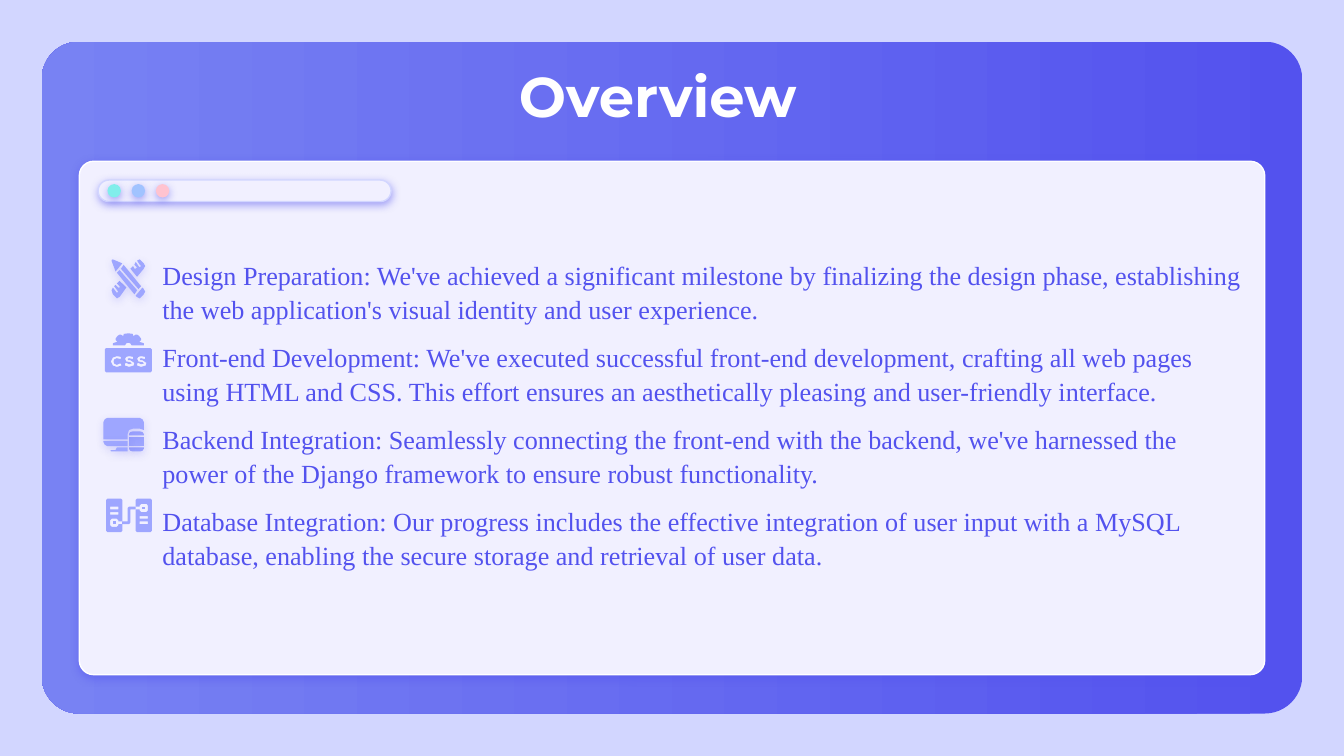
import dataclasses

import lxml.etree
import pptx
import pptx.dml.color
import pptx.enum.shapes
import pptx.enum.text
import pptx.oxml.ns
import pptx.util

SHAPES = pptx.enum.shapes.MSO_SHAPE
INCH = 914400
COLUMNS = 1000
ROWS = COLUMNS * 9 / 16


@dataclasses.dataclass(frozen=True)
class Theme:
    page: str = "D2D6FF"
    deep: str = "5352EE"
    light: str = "7882F3"
    panel: str = "F1F0FF"
    white: str = "FFFFFF"
    icon: str = "9EA6FF"
    dots: tuple = ("81EEEB", "A1C3FF", "FFC3D0")
    title_font: str = "Montserrat"
    body_font: str = "Times New Roman"
    title_size: int = 30
    body_size: int = 14
    line_width: float = 0.75


THEME = Theme()


@dataclasses.dataclass(frozen=True)
class Box:
    left: float
    top: float
    width: float
    height: float

    def cell(self, left, top, width, height):
        return Box(self.left + left, self.top + top, width, height)

    def emu(self):
        return [round(value * INCH / 100) for value in
                (self.left, self.top, self.width, self.height)]


def rgb(value):
    return pptx.dml.color.RGBColor.from_string(value)


def apply(target, values):
    for name, value in values.items():
        setattr(target, name, value)


def add_shadow(shape, opacity):
    tag = pptx.oxml.ns.qn
    effects = shape._element.spPr.find(tag("a:effectLst"))
    shadow = lxml.etree.SubElement(effects, tag("a:outerShdw"), {
        "blurRad": "57150", "dist": "19050", "dir": "5400000",
        "algn": "bl", "rotWithShape": "0"})
    color = lxml.etree.SubElement(shadow, tag("a:srgbClr"), val=THEME.deep)
    lxml.etree.SubElement(color, tag("a:alpha"), val=str(opacity * 1000))


def paint(shape, fill, line=None, opacity=0):
    shape.shadow.inherit = False
    shape.fill.solid()
    shape.fill.fore_color.rgb = rgb(fill)
    if line:
        shape.line.color.rgb = rgb(line)
        shape.line.width = pptx.util.Pt(THEME.line_width)
    else:
        shape.line.fill.background()
    if opacity:
        add_shadow(shape, opacity)


def add_round(slide, box, corner, fill, line=None, opacity=0):
    shape = slide.shapes.add_shape(SHAPES.ROUNDED_RECTANGLE, *box.emu())
    shape.adjustments[0] = corner
    paint(shape, fill, line, opacity)
    return shape


def add_backdrop(slide, box):
    frame = add_round(slide, box, 0.056, THEME.deep)
    frame.fill.gradient()
    frame.fill.gradient_angle = 180
    for stop, color in zip(frame.fill.gradient_stops, (THEME.deep, THEME.light)):
        stop.color.rgb = rgb(color)


def add_browser_bar(slide, box):
    add_round(slide, box, 0.5, THEME.panel, THEME.page, 50)
    for index, color in enumerate(THEME.dots):
        dot = box.cell(7 + 18 * index, 3, 10, 10)
        paint(slide.shapes.add_shape(SHAPES.OVAL, *dot.emu()), color, opacity=50)


def add_title(slide, box, text):
    title = slide.shapes.title
    slide.shapes._spTree.append(title._element)
    apply(title, dict(zip(("left", "top", "width", "height"), box.emu())))
    write(title.text_frame, [text], pptx.enum.text.MSO_ANCHOR.TOP,
          {"alignment": pptx.enum.text.PP_ALIGN.CENTER},
          {"name": THEME.title_font, "size": pptx.util.Pt(THEME.title_size), "bold": True},
          THEME.white)


def add_body(slide, box, texts):
    write(slide.shapes.add_textbox(*box.emu()).text_frame, texts,
          pptx.enum.text.MSO_ANCHOR.MIDDLE,
          {"line_spacing": 1.07, "space_after": pptx.util.Pt(8)},
          {"name": THEME.body_font, "size": pptx.util.Pt(THEME.body_size)},
          THEME.deep)


def write(frame, texts, anchor, layout, font, color):
    sides = ("margin_left", "margin_top", "margin_right", "margin_bottom")
    apply(frame, dict.fromkeys(sides, pptx.util.Inches(0.1)))
    apply(frame, {"word_wrap": True, "vertical_anchor": anchor,
                  "auto_size": pptx.enum.text.MSO_AUTO_SIZE.NONE})
    for index, text in enumerate(texts):
        paragraph = frame.add_paragraph() if index else frame.paragraphs[0]
        paragraph.text = text
        apply(paragraph, layout)
        apply(paragraph.font, font)
        paragraph.font.color.rgb = rgb(color)


def add_icon(slide, box, parts, opacity=0):
    for contours in parts:
        placed = [[box.cell(x, y, 0, 0).emu()[:2] for x, y in contour]
                  for contour in contours]
        builder = slide.shapes.build_freeform(*placed[0][0], scale=1.0)
        builder.add_line_segments(placed[0][1:], close=True)
        for contour in placed[1:]:
            builder.move_to(*contour[0])
            builder.add_line_segments(contour[1:], close=True)
        paint(builder.convert_to_shape(), THEME.icon, opacity=opacity)


def block(left, top, right, bottom):
    return [(left, top), (right, top), (right, bottom), (left, bottom)]


def design_icon():
    upper_ruler = [(21, 0), (19, 1), (21, 4), (22, 5), (21, 6), (20, 5), (18, 2),
                   (17, 4), (19, 6), (18, 7), (17, 7), (16, 5), (14, 7), (19, 13),
                   (24, 7), (25, 5), (24, 3), (22, 1)]
    lower_ruler = [(6, 16), (4, 18), (6, 20), (6, 21), (5, 21), (3, 19), (2, 20),
                   (5, 24), (4, 25), (1, 21), (0, 23), (1, 26), (3, 28), (4, 29),
                   (6, 28), (11, 21)]
    tip = [(1, 0), (0, 0.5), (0, 1), (3, 9), (8, 3)]
    strips = [[(9, 4), (7, 7), (20, 22), (22, 20)], [(6, 8), (4, 10), (17, 26), (19, 23)]]
    eraser = [(23, 21), (18, 27), (19, 28), (21, 29), (22, 28), (24, 26), (25, 24), (24, 22)]
    return [[part] for part in (upper_ruler, lower_ruler, tip, *strips, eraser)]


def stylesheet_icon():
    letter_c = [(9, 17), (12, 17.5), (12, 19), (11, 19), (9, 18.5), (7, 19.5), (6.5, 21),
                (7, 22.5), (9, 23.5), (11, 22.5), (12, 22.5), (12.5, 24), (9, 25),
                (6, 24), (4.5, 21), (6, 18)]
    letter_s = [(18, 17), (21, 17.5), (21, 19), (20, 19), (18, 18.5), (17, 19), (17.5, 20),
                (19, 20), (22, 22), (21.5, 24), (18, 25), (15, 24), (15, 22.5), (16, 22),
                (18, 23), (20, 22.5), (19, 21.5), (16, 21), (15, 19), (16, 17.5)]
    second_s = [(x + 9, y) for x, y in letter_s]
    plate = [(1, 11), (0, 12), (0, 28), (1, 29), (34, 29), (35, 28), (35, 12), (34, 11)]
    half_gear = [(17.5, 7), (16, 7.5), (15, 9), (6, 9), (6, 7.5), (7, 7), (9, 6.5), (9, 6),
                 (8, 5), (8, 4), (9.5, 2), (11, 1), (12, 1), (13.5, 2), (14, 1.5),
                 (14, 0.5), (17.5, 0)]
    gear = half_gear + [(35 - x, y) for x, y in half_gear[-2:0:-1]]
    return [[plate, letter_c, letter_s, second_s], [gear]]


def devices_icon():
    phone_base = [(19, 22), (19, 23), (20, 24.5), (22, 25), (27, 25), (29, 24.5), (30, 23), (30, 22)]
    phone_top = [(19, 13), (19, 12), (20, 10.5), (22, 10), (27, 10), (29, 10.5), (30, 12), (30, 13)]
    screen = [(3, 0), (1, 1), (0, 3), (0, 16), (18, 16), (18, 12), (19, 9), (22, 8),
              (27, 8), (30, 9), (30, 3), (29, 1), (27, 0)]
    chin = [(0, 17), (0, 18), (1, 20), (3, 21), (18, 21), (18, 17)]
    foot = [(10, 22), (9, 24), (6, 24), (5, 24.5), (6, 25), (18, 25), (18, 22)]
    return [[part] for part in (phone_base, block(19, 14, 30, 21), phone_top, screen, chin, foot)]


def database_icon():
    cable = [(17, 6), (16, 7), (16, 17), (12, 17), (12, 19), (17, 19), (18, 18), (18, 8), (22, 8), (22, 6)]
    case = [(1, 0), (0, 1), (0, 24), (1, 25), (11, 25), (12, 24), (12, 19), (9, 19),
            (9, 20), (8, 21), (4, 21), (3, 20), (3, 16), (4, 15), (8, 15), (9, 16),
            (9, 17), (12, 17), (12, 1), (11, 0)]
    server = [case, block(3, 6, 9, 8), block(3, 10, 9, 12)]
    turned = [[(34 - x, 25 - y) for x, y in contour] for contour in server]
    return [[block(5, 17, 7, 19)], [block(27, 6, 29, 8)], [cable], server, turned]


def build_overview(presentation):
    slide = presentation.slides.add_slide(presentation.slide_layouts[5])
    slide.background.fill.solid()
    slide.background.fill.fore_color.rgb = rgb(THEME.page)
    page = Box(0, 0, COLUMNS, ROWS)
    add_backdrop(slide, page.cell(31, 31, 938, 500))
    panel = page.cell(59, 120, 882, 382)
    add_round(slide, panel, 0.028, THEME.panel, THEME.white, 50)
    add_browser_bar(slide, panel.cell(14, 14, 218, 16))
    add_title(slide, page.cell(68, 36, 843, 63), "Overview")
    add_body(slide, page.cell(111, 99, 825, 418), [
        "Design Preparation: We've achieved a significant milestone by finalizing the design phase, establishing the web application's visual identity and user experience.",
        "Front-end Development: We've executed successful front-end development, crafting all web pages using HTML and CSS. This effort ensures an aesthetically pleasing and user-friendly interface.",
        "Backend Integration: Seamlessly connecting the front-end with the backend, we've harnessed the power of the Django framework to ensure robust functionality.",
        "Database Integration: Our progress includes the effective integration of user input with a MySQL database, enabling the secure storage and retrieval of user data.",
    ])
    add_icon(slide, panel.cell(24, 73, 25, 29), design_icon(), 20)
    add_icon(slide, panel.cell(19, 128, 35, 29), stylesheet_icon())
    add_icon(slide, panel.cell(18, 191, 30, 25), devices_icon(), 20)
    add_icon(slide, panel.cell(20, 251, 34, 25), database_icon())


presentation = pptx.Presentation()
presentation.slide_width = pptx.util.Inches(COLUMNS / 100)
presentation.slide_height = pptx.util.Inches(ROWS / 100)
build_overview(presentation)
presentation.save("out.pptx")
